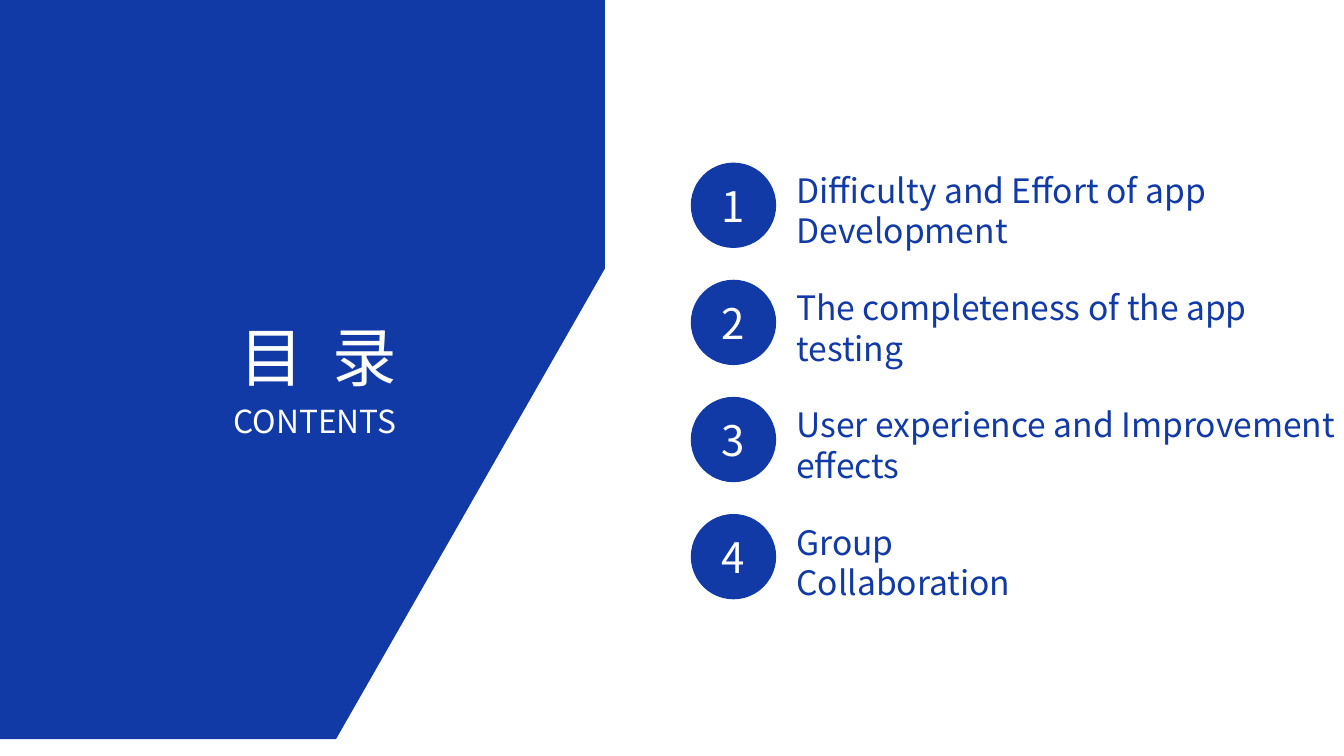
from pptx import Presentation
from pptx import util as u
from pptx.dml.color import RGBColor
from pptx.enum import shapes, text
from pptx.oxml import ns
from lxml import etree

COLORS = {"blue": "113AA6", "white": "FFFFFF"}
FONT = "Noto Sans CJK SC"
CURVE_STEPS = 40
ITEMS = [
    ("Difficulty and Effort of app Development", 8.15),
    ("The completeness of the app testing", 8.15),
    ("User experience and Improvement effects", 8.15),
    ("Group Collaboration", 4.16),
]


def bezier(start, control_1, control_2, end):
    points = []
    for step in range(1, CURVE_STEPS + 1):
        t = step / CURVE_STEPS
        weights = ((1 - t) ** 3, 3 * t * (1 - t) ** 2, 3 * t ** 2 * (1 - t), t ** 3)
        corners = (start, control_1, control_2, end)
        points.append(tuple(sum(w * c[axis] for w, c in zip(weights, corners)) for axis in (0, 1)))
    return points


def write_text(shape, content, size, color="white", align=text.PP_ALIGN.CENTER, spacing=0):
    frame = shape.text_frame
    frame.word_wrap = True
    frame.auto_size = text.MSO_AUTO_SIZE.NONE
    frame.vertical_anchor = text.MSO_ANCHOR.TOP
    frame.margin_left = frame.margin_right = frame.margin_top = frame.margin_bottom = 0
    paragraph = frame.paragraphs[0]
    paragraph.alignment = align
    paragraph.line_spacing = u.Pt(size * 1.2)
    run = paragraph.add_run()
    run.text = content
    run.font.size = u.Pt(size)
    run.font.name = FONT
    run.font.color.rgb = RGBColor.from_string(COLORS[color])
    properties = run.font._element
    etree.SubElement(properties, ns.qn("a:ea")).set("typeface", FONT)
    if spacing:
        properties.set("spc", str(spacing))


class SlideBuilder:
    def __init__(self, presentation):
        self.slide = presentation.slides.add_slide(presentation.slide_layouts[5])

    def paint(self, shape, color):
        shape.shadow.inherit = False
        shape.fill.solid()
        shape.fill.fore_color.rgb = RGBColor.from_string(COLORS[color])
        shape.line.fill.background()

    def title(self, content, left, top, width, height, size, **style):
        title = self.slide.shapes.title
        title.left, title.top = u.Inches(left), u.Inches(top)
        title.width, title.height = u.Inches(width), u.Inches(height)
        self.slide.shapes.element.append(title.element)
        write_text(title, content, size, **style)

    def label(self, content, left, top, width, height, size, **style):
        box = self.slide.shapes.add_textbox(
            u.Inches(left), u.Inches(top), u.Inches(width), u.Inches(height))
        write_text(box, content, size, **style)

    def circle(self, left, top, diameter, color="blue"):
        circle = self.slide.shapes.add_shape(
            shapes.MSO_SHAPE.OVAL, u.Inches(left), u.Inches(top),
            u.Inches(diameter), u.Inches(diameter))
        self.paint(circle, color)

    def outline(self, points, color="blue"):
        builder = self.slide.shapes.build_freeform(*points[0], scale=u.Inches(1))
        builder.add_line_segments(points[1:], close=True)
        self.paint(builder.convert_to_shape(), color)


def main():
    presentation = Presentation()
    presentation.slide_width = u.Inches(20)
    presentation.slide_height = u.Inches(11.25)
    builder = SlideBuilder(presentation)

    upper_curve = bezier((9.05, 0.13), (9.56, 1.49), (9.48, 3.06), (8.69, 4.41))
    lower_curve = bezier((5.06, 10.7), (4.98, 10.85), (4.88, 11), (4.78, 11.13))
    builder.outline([(0, 0), (8.99, 0), (9.05, 0.13), *upper_curve,
                     (5.06, 10.7), *lower_curve, (4.69, 11.25), (0, 11.25)])

    for index, (item, width) in enumerate(ITEMS):
        top = 2.42 + index * 1.743
        builder.circle(10.28, top, 1.27)
        builder.label(item, 11.85, top + 0.11, width, 1.19, 36,
                      color="blue", align=text.PP_ALIGN.LEFT)
        builder.label(str(index + 1), 10.52, top + 0.26, 0.77, 0.75, 45)

    builder.label("CONTENTS", 2.85, 5.98, 3.67, 0.56, 34)
    builder.title("目 录", 2.9, 4.72, 3.67, 1.14, 69, spacing=775)
    presentation.save("out.pptx")


if __name__ == "__main__":
    main()
